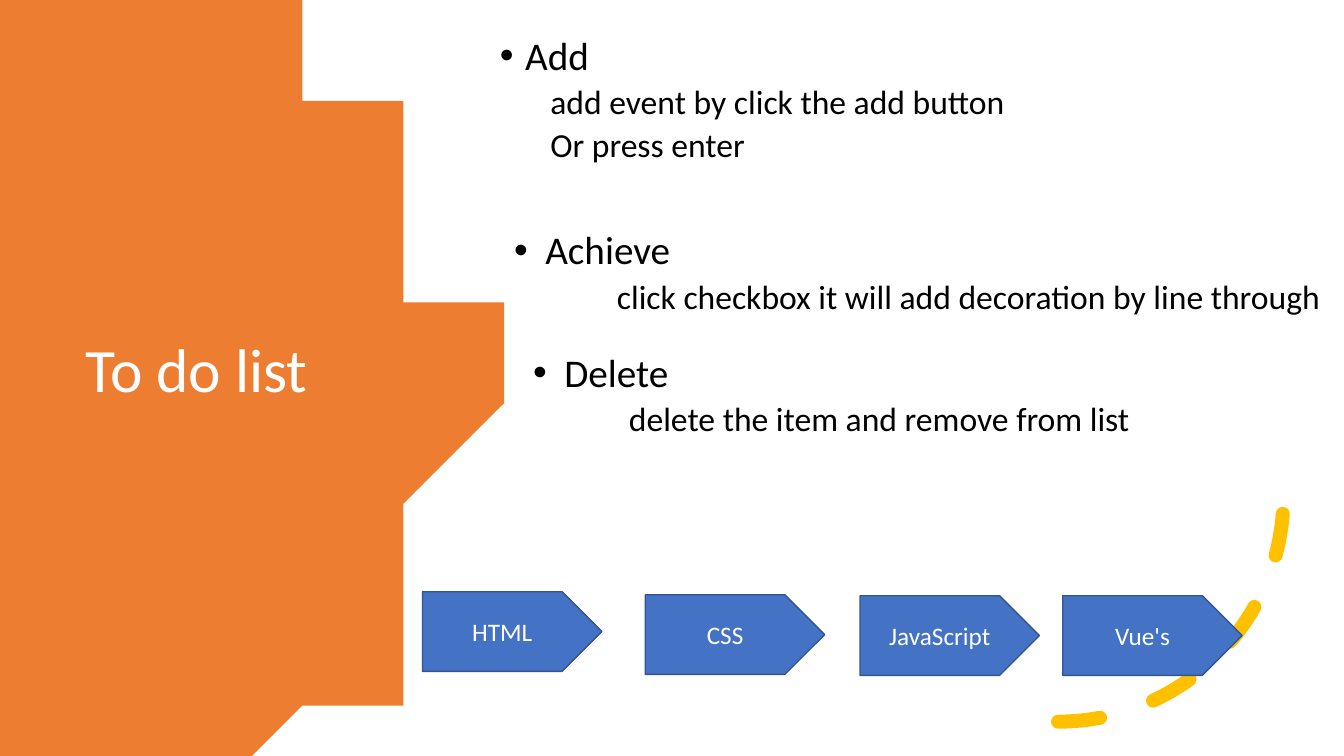
import math
import pptx
import pptx.util
import pptx.dml.color
import pptx.enum.shapes
import pptx.enum.text
import pptx.oxml.ns
import lxml.etree

Inches, Pt = pptx.util.Inches, pptx.util.Pt
RGB = pptx.dml.color.RGBColor.from_string
SHAPE = pptx.enum.shapes.MSO_SHAPE
ANCHOR = pptx.enum.text.MSO_ANCHOR
ALIGN = pptx.enum.text.PP_ALIGN

THEME = dict(font="Calibri", ink="000000", paper="FFFFFF", disc="ED7D31", arc="FFC000",
             tag="4472C4", tag_line="325491", title=44, head=28, detail=24, label=18)
WIDTH, HEIGHT = 13.33, 7.5

TITLE = "To do list"
FEATURES = [
    dict(box=(4.86, 0.31, 7.55, 1.78), head="Add", hang=0.25, before=10, spacing=0.9, indent=0.5,
         details=["add event by click the add button", "Or press enter"]),
    dict(box=(5, 2.24, 8.33, 0.96), head="Achieve", hang=0.31, before=0, spacing=0.9, indent=1.02,
         details=["click checkbox it will add decoration by line through"]),
    dict(box=(5.19, 3.41, 6.73, 1.01), head="Delete", hang=0.31, before=0, spacing=1.0, indent=0.95,
         details=["delete the item and remove from list"]),
]
TAG_SIZE = (1.78, 0.79)
TAGS = [("HTML", 4.19, 5.87), ("CSS", 6.4, 5.9), ("JavaScript", 8.53, 5.91), ("Vue's", 10.54, 5.91)]
DISC_X, DISC_Y, DISC_R = 0.15, HEIGHT / 2, 4.41
ARC_BOX = (8.26, 2.69, 4.47, 4.47)


def put_text(p, text, size, color, **formats):
    r = p.add_run()
    r.text = text
    for name, value in dict(name=THEME["font"], size=Pt(size)).items():
        setattr(r.font, name, value)
    r.font.color.rgb = RGB(color)
    for name, value in formats.items():
        setattr(p, name, value)


def add_box(box, anchor):
    tf = slide.shapes.add_textbox(*map(Inches, box)).text_frame
    for name, value in dict(word_wrap=True, vertical_anchor=anchor).items():
        setattr(tf, name, value)
    return tf


def set_indent(p, margin, hang=0):
    pPr = p._p.get_or_add_pPr()
    for name, value in dict(marL=margin, indent=-hang).items():
        pPr.set(name, str(int(Inches(value))))
    if hang:
        bu = lxml.etree.SubElement(pPr, pptx.oxml.ns.qn("a:buFont"))
        bu.set("typeface", "Arial")
        bu = lxml.etree.SubElement(pPr, pptx.oxml.ns.qn("a:buChar"))
        bu.set("char", "•")


def paint(sp, fill=None, line=None, width=1):
    sp.shadow.inherit = False
    for part, color in ((sp.fill, fill), (sp.line.fill, line)):
        if color:
            part.solid()
            part.fore_color.rgb = RGB(THEME[color])
        else:
            part.background()
    if line:
        sp.line.width = Pt(width)


def add_disc():
    half = math.asin(DISC_Y / DISC_R)
    angles = [half * (k / 40 - 1) for k in range(81)]
    rim = [(DISC_X + DISC_R * math.cos(a), DISC_Y + DISC_R * math.sin(a)) for a in angles]
    fb = slide.shapes.build_freeform(0, 0, scale=Inches(1))
    fb.add_line_segments(rim + [(0, HEIGHT)], close=True)
    paint(fb.convert_to_shape(), "disc")


def add_arc():
    sp = slide.shapes.add_shape(SHAPE.ARC, *map(Inches, ARC_BOX))
    paint(sp, line="arc", width=10)
    sp.line.dash_style = pptx.enum.dml.MSO_LINE.DASH
    sp._element.spPr.find(pptx.oxml.ns.qn("a:ln")).set("cap", "rnd")
    sp._element.spPr.find(pptx.oxml.ns.qn("a:xfrm")).set("flipV", "1")


def add_feature(feature):
    tf = add_box(feature["box"], ANCHOR.TOP)
    p = tf.paragraphs[0]
    put_text(p, feature["head"], THEME["head"], THEME["ink"],
             line_spacing=feature["spacing"], space_before=Pt(feature["before"]))
    set_indent(p, feature["hang"], feature["hang"])
    for detail in feature["details"]:
        p = tf.add_paragraph()
        put_text(p, detail, THEME["detail"], THEME["ink"],
                 level=1, line_spacing=0.9, space_before=Pt(5))
        set_indent(p, feature["indent"])


def add_tag(label, left, top):
    sp = slide.shapes.add_shape(SHAPE.PENTAGON, *map(Inches, (left, top, *TAG_SIZE)))
    paint(sp, "tag", "tag_line")
    sp.text_frame.vertical_anchor = ANCHOR.MIDDLE
    put_text(sp.text_frame.paragraphs[0], label, THEME["label"], THEME["paper"], alignment=ALIGN.CENTER)


prs = pptx.Presentation()
prs.slide_width, prs.slide_height = Inches(WIDTH), Inches(HEIGHT)
slide = prs.slides.add_slide(prs.slide_layouts[6])

add_disc()
title = add_box((0.75, 1.26, 3.5, 4.88), ANCHOR.MIDDLE)
put_text(title.paragraphs[0], TITLE, THEME["title"], THEME["paper"], line_spacing=0.9)
add_arc()
for tag in TAGS:
    add_tag(*tag)
for feature in FEATURES:
    add_feature(feature)

prs.save("out.pptx")
